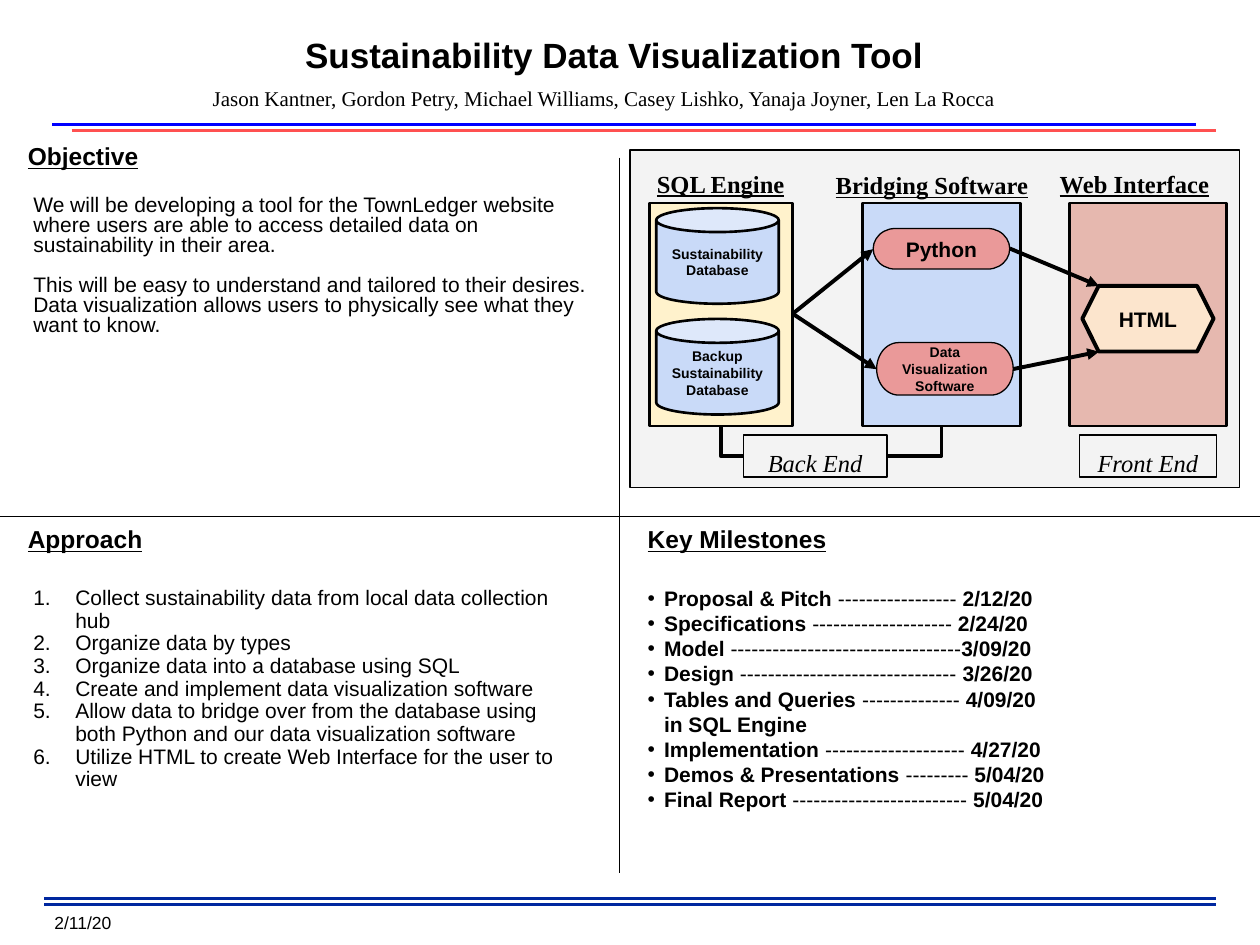
from lxml.etree import SubElement
from pptx import Presentation
from pptx.dml.color import RGBColor
from pptx.enum.shapes import MSO_CONNECTOR, MSO_SHAPE
from pptx.enum.text import MSO_ANCHOR, MSO_AUTO_SIZE, PP_ALIGN
from pptx.oxml.ns import qn
from pptx.util import Pt

COLORS = {
    "black": "000000", "white": "FFFFFF", "blue": "0000FF", "red": "FF5050",
    "navy": "00279F", "gray": "F3F3F3", "sky": "C9DAF8", "cream": "FFF2CC",
    "rose": "E6B8AF", "coral": "EA9999", "peach": "FCE5CD",
}
SANS, SERIF = "Arial", "Times New Roman"

presentation = Presentation()
presentation.slide_width, presentation.slide_height = Pt(720), Pt(540)
slide = presentation.slides.add_slide(presentation.slide_layouts[5])
shapes = slide.shapes


def write(shape, paragraphs, size, font=SANS, align=PP_ALIGN.LEFT, inset=(7.2, 3.6),
          anchor=MSO_ANCHOR.TOP, spacing=None, **style):
    """Fill a shape with paragraphs, each a list of (text, bold) runs."""
    frame = shape.text_frame
    frame.word_wrap = True
    frame.auto_size = MSO_AUTO_SIZE.NONE
    frame.vertical_anchor = anchor
    frame.margin_left = frame.margin_right = Pt(inset[0])
    frame.margin_top = frame.margin_bottom = Pt(inset[1])
    for index, runs in enumerate(paragraphs):
        paragraph = frame.paragraphs[0] if index == 0 else frame.add_paragraph()
        paragraph.alignment = align
        paragraph.line_spacing = spacing
        for text, bold in runs:
            run = paragraph.add_run()
            run.text = text
            run.font.name, run.font.size, run.font.bold = font, Pt(size), bold
            run.font.underline = style.get("underline")
            run.font.italic = style.get("italic")
            run.font.color.rgb = RGBColor.from_string(COLORS["black"])
    return frame


def draw(kind, box, fill=None, line=None):
    shape = shapes.add_shape(kind, *map(Pt, box))
    shape.shadow.inherit = False
    if fill:
        shape.fill.solid()
        shape.fill.fore_color.rgb = RGBColor.from_string(COLORS[fill])
    else:
        shape.fill.background()
    if line:
        shape.line.color.rgb = RGBColor.from_string(COLORS["black"])
        shape.line.width = Pt(line)
    else:
        shape.line.fill.background()
    return shape


# Title and authors
title = shapes.title
title.left, title.top, title.width, title.height = Pt(87), Pt(15.8), Pt(528), Pt(30.2)
write(title, [[("Sustainability Data Visualization Tool", True)]], 20, align=PP_ALIGN.CENTER)
authors = shapes.add_textbox(Pt(114.5), Pt(43.2), Pt(473), Pt(24))
write(authors, [[("Jason Kantner, Gordon Petry, Michael Williams, Casey Lishko, "
                  "Yanaja Joyner, Len La Rocca", False)]], 12, SERIF, spacing=1.15)

# Diagram panels
draw(MSO_SHAPE.RECTANGLE, (360, 85.7, 348.5, 193), "gray", 0.75)
for left, width, fill in [(371, 82, "cream"), (493, 90, "sky"), (611, 90, "rose")]:
    draw(MSO_SHAPE.RECTANGLE, (left, 116, width, 127.4), fill, 1.5)

# Rules, arrows and brackets
connectors = [
    (30, 71.2, 683.5, 71.2, "blue", 1.75, "rule"),
    (41, 74.6, 695, 74.6, "red", 1.75, "rule"),
    (25.2, 513.2, 695, 513.2, "navy", 1.75, "rule"),
    (25.2, 516.8, 695, 516.8, "navy", 1.75, "rule"),
    (354, 90, 354, 499, "black", 0.75, "rule"),
    (0, 295, 720, 295, "black", 0.75, "rule"),
    (453, 179.3, 499, 142.4, "black", 2.25, "arrow"),
    (453, 179.3, 501, 211, "black", 2.25, "arrow"),
    (578.5, 211, 628, 201, "black", 2.25, "arrow"),
    (577, 142, 628, 163.4, "black", 2.25, "arrow"),
    (507, 260.6, 538, 243.4, "black", 2.25, "bracket"),
    (424.8, 260.6, 412, 243.4, "black", 2.25, "bracket"),
]
for x1, y1, x2, y2, color, weight, role in connectors:
    kind = MSO_CONNECTOR.ELBOW if role == "bracket" else MSO_CONNECTOR.STRAIGHT
    connector = shapes.add_connector(kind, Pt(x1), Pt(y1), Pt(x2), Pt(y2))
    connector.line.color.rgb = RGBColor.from_string(COLORS[color])
    connector.line.width = Pt(weight)
    properties = connector._element.spPr
    SubElement(properties, qn("a:effectLst"))
    if role == "arrow":
        SubElement(properties.find(qn("a:ln")), qn("a:tailEnd"), type="triangle")
    if role == "bracket":
        properties.find(qn("a:prstGeom")).set("prst", "bentConnector2")

# Diagram nodes
nodes = [
    (MSO_SHAPE.CAN, (375, 119, 70, 54.6), "sky", 1.5, 8, ["Sustainability Database"]),
    (MSO_SHAPE.CAN, (375, 182.3, 70, 54.6), "sky", 1.5, 8,
     ["Backup", "Sustainability Database"]),
    (MSO_SHAPE.FLOWCHART_TERMINATOR, (499, 130.6, 78, 23.2), "coral", 0.75, 12, ["Python"]),
    (MSO_SHAPE.FLOWCHART_TERMINATOR, (501, 195.8, 78, 30), "coral", 0.75, 8,
     ["Data Visualization Software"]),
    (MSO_SHAPE.HEXAGON, (618.5, 163.4, 75, 37.5), "peach", 2.25, 12, ["HTML"]),
]
for kind, box, fill, line, size, lines in nodes:
    node = draw(kind, box, fill, line)
    if kind != MSO_SHAPE.FLOWCHART_TERMINATOR:
        node.adjustments[0] = 0.25
    write(node, [[(text, True)] for text in lines], size, align=PP_ALIGN.CENTER,
          inset=(7.2, 7.2), anchor=MSO_ANCHOR.MIDDLE)

# Diagram labels
for text, left, top, width in [("SQL Engine", 364.3, 89.3, 95),
                               ("Bridging Software", 466.6, 90, 132),
                               ("Web Interface", 593.5, 89.3, 109.5)]:
    label = shapes.add_textbox(Pt(left), Pt(top), Pt(width), Pt(30))
    write(label, [[(text, True)]], 14, SERIF, PP_ALIGN.CENTER, (7.2, 7.2), underline=True)
for text, left, width in [("Back End", 424.8, 82), ("Front End", 617, 78)]:
    label = draw(MSO_SHAPE.RECTANGLE, (left, 248.5, width, 24), line=0.75)
    write(label, [[(text, False)]], 14, SERIF, PP_ALIGN.CENTER, (7.2, 7.2), italic=True)

# Section headings
for text, left, top in [("Objective", 8.8, 77.2), ("Approach", 8.8, 296),
                        ("Key Milestones", 363, 296)]:
    heading = shapes.add_textbox(Pt(left), Pt(top), Pt(270), Pt(24))
    write(heading, [[(text, True)]], 14, underline=True)

# Objective
objective = draw(MSO_SHAPE.RECTANGLE, (12, 108.5, 336.5, 181.5), "white")
frame = write(objective, [
    [("We will be developing a tool for the TownLedger website where users are able "
      "to access detailed data on sustainability in their area.", False)],
    [("This will be easy to understand and tailored to their desires. Data visualization "
      "allows users to physically see what they want to know.", False)],
], 12, spacing=0.8)
frame.paragraphs[1].space_before = Pt(11.4)

# Approach
steps = [
    "Collect sustainability data from local data collection hub",
    "Organize data by types",
    "Organize data into a database using SQL",
    "Create and implement data visualization software",
    "Allow data to bridge over from the database using both Python and our data "
    "visualization software",
    "Utilize HTML to create Web Interface for the user to view",
]
approach = shapes.add_textbox(Pt(0), Pt(332), Pt(330), Pt(151))
frame = write(approach, [[(step, False)] for step in steps], 12, spacing=0.9)
for paragraph in frame.paragraphs:
    properties = paragraph._p.get_or_add_pPr()
    properties.set("marL", str(Pt(36)))
    properties.set("indent", str(-Pt(24)))
    SubElement(properties, qn("a:buFont"), typeface=SANS)
    SubElement(properties, qn("a:buAutoNum"), type="arabicPeriod")

# Key milestones
milestones = [
    ("Proposal & Pitch", " ----------------- ", "2/12/20"),
    ("Specifications ", "-------------------- ", "2/24/20"),
    ("Model ", "---------------------------------", "3/09/20"),
    ("Design", " ------------------------------- ", "3/26/20"),
    ("Tables and Queries", " -------------- ", "4/09/20"),
    ("in SQL Engine",),
    ("Implementation", " -------------------- ", "4/27/20"),
    ("Demos & Presentations", " --------- ", "5/04/20"),
    ("Final Report", " ------------------------- ", "5/04/20"),
]
schedule = shapes.add_textbox(Pt(363), Pt(331), Pt(354), Pt(138))
frame = write(schedule, [list(zip(parts, (True, False, True))) for parts in milestones], 12)
for paragraph, parts in zip(frame.paragraphs, milestones):
    properties = paragraph._p.get_or_add_pPr()
    properties.set("marL", str(Pt(9.4)))
    if len(parts) > 1:
        properties.set("indent", str(-Pt(9.4)))
        SubElement(properties, qn("a:buFont"), typeface=SANS)
        SubElement(properties, qn("a:buChar"), char="•")

# Date
date = shapes.add_textbox(Pt(24), Pt(517.7), Pt(70), Pt(19.4))
write(date, [[("2/11/20", False)]], 10)

presentation.save("out.pptx")
